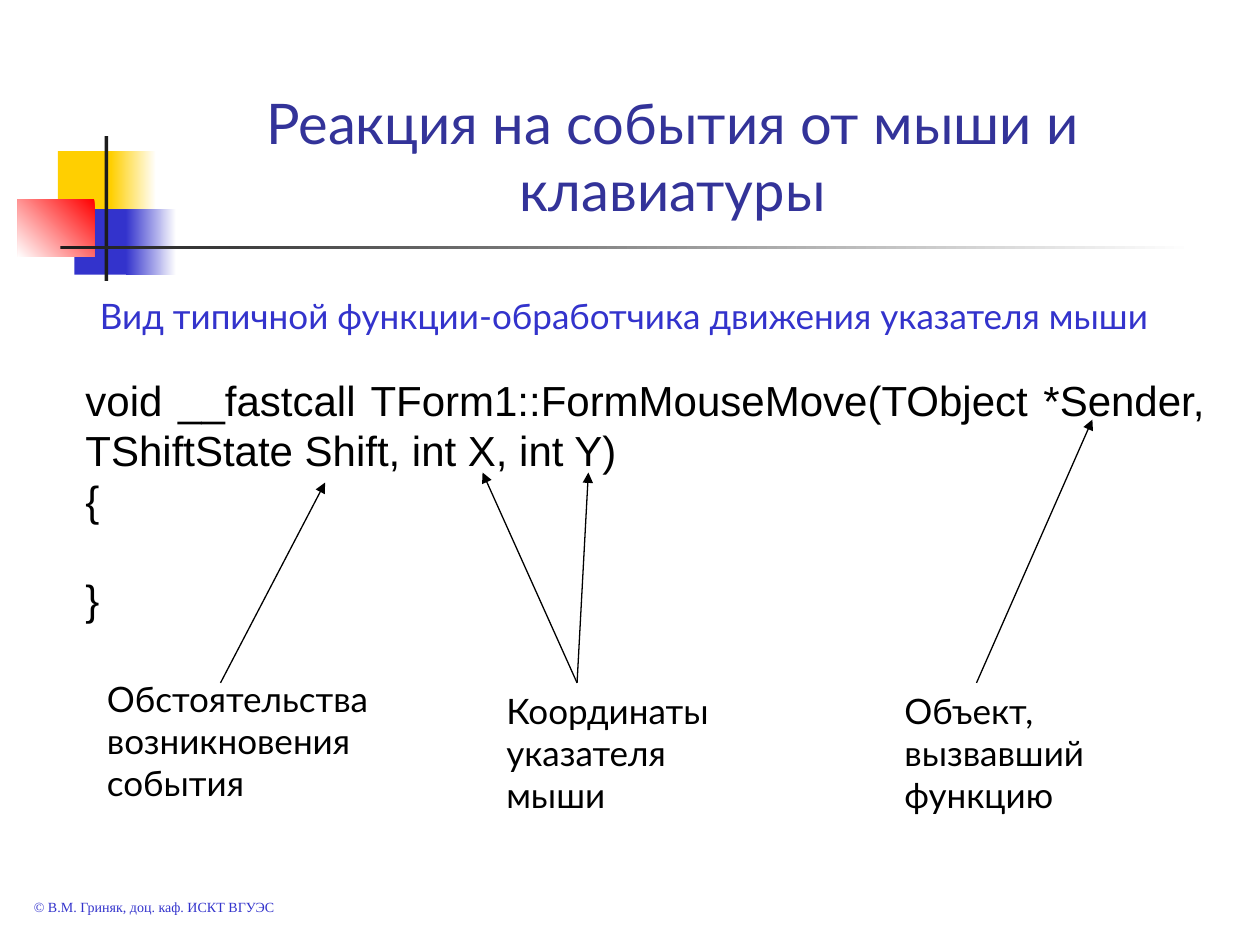
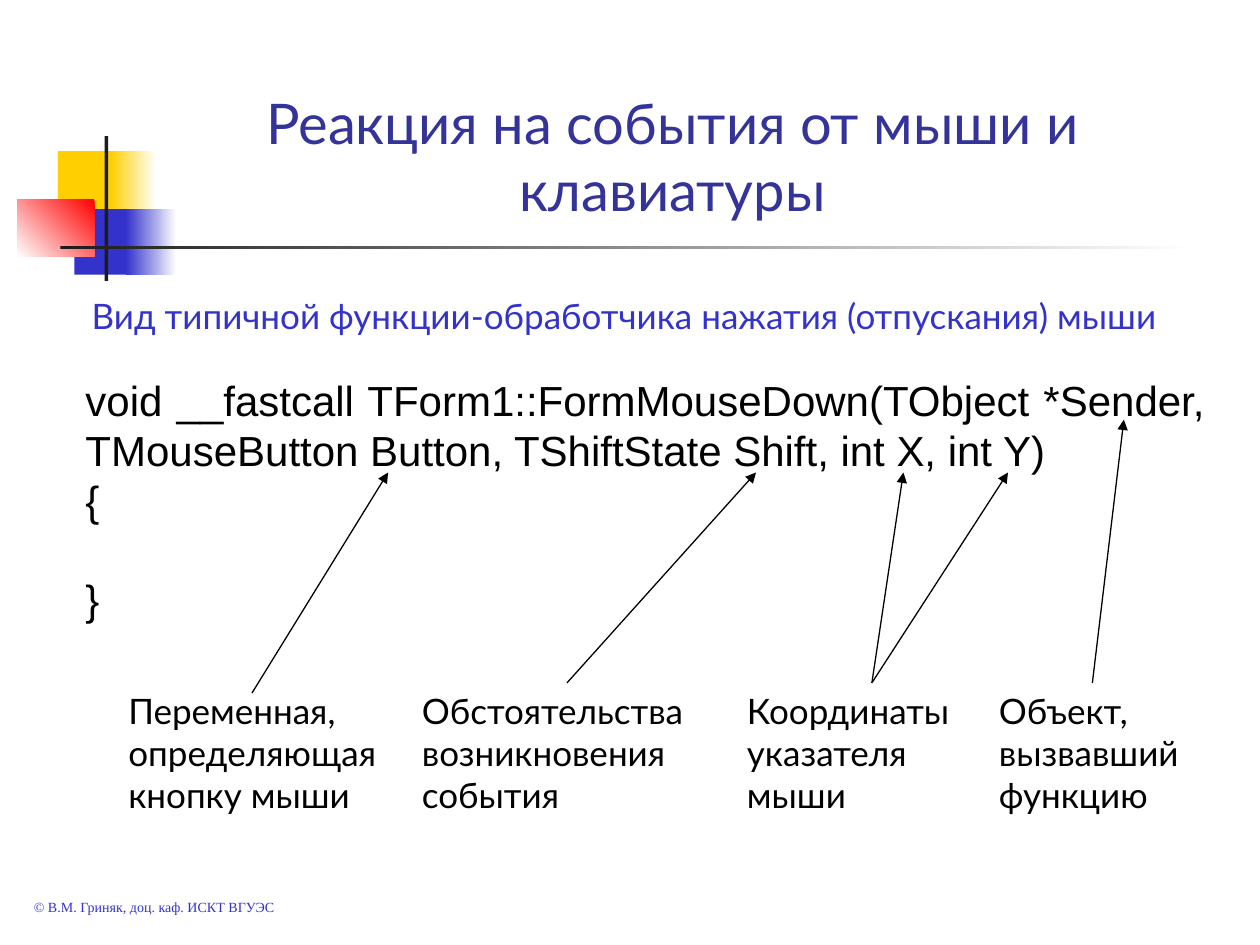
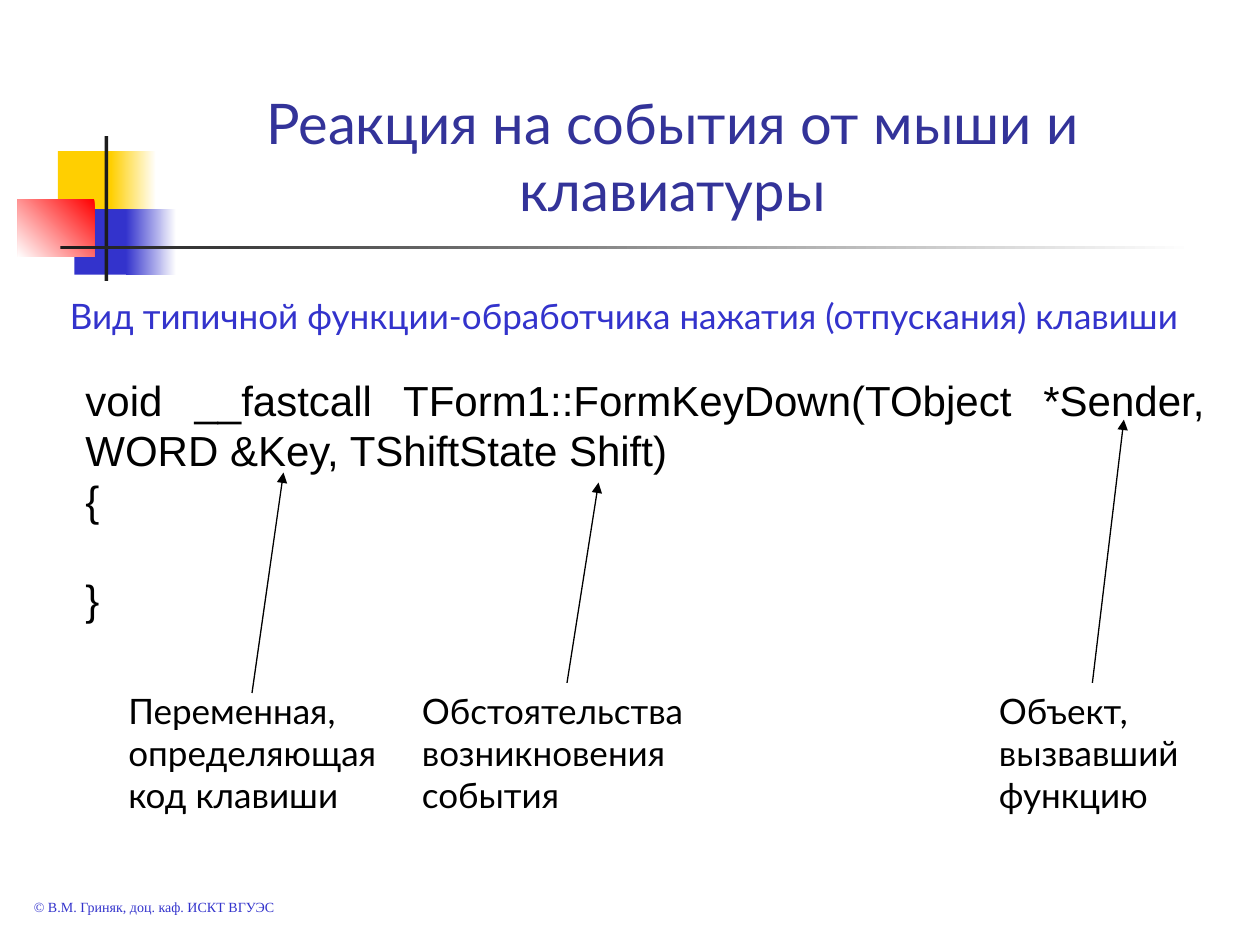
from dataclasses import dataclass

from lxml.etree import SubElement
from pptx import Presentation
from pptx.dml.color import RGBColor
from pptx.enum.shapes import MSO_CONNECTOR, MSO_SHAPE
from pptx.enum.text import MSO_ANCHOR, MSO_AUTO_SIZE, PP_ALIGN
from pptx.oxml.ns import qn
from pptx.slide import Slide
from pptx.text.text import TextFrame
from pptx.util import Inches, Pt

YELLOW = "FFCF01"
BLUE = "3333CC"
RED = "FF0000"
DARK = "1C1C1C"
WHITE = "FFFFFF"
BLACK = "000000"
TITLE_COLOR = "333399"

BODY_FONT = "Lato"
CODE_FONT = "Arial"
FOOTER_FONT = "Times New Roman"
CODE_SIZE = 24
CODE_LINE = 27.6

TITLE = "Реакция на события от мыши и клавиатуры"
FOOTER = "© В.М. Гриняк, доц. каф. ИСКТ ВГУЭС"
SENDER = "Объект, вызвавший функцию"
COORDINATES = "Координаты указателя мыши"
CIRCUMSTANCES = "Обстоятельства возникновения события"

Point = tuple[float, float]
Box = tuple[float, float, float, float]


@dataclass(frozen=True)
class Band:
    box: Box
    color: str
    fade_angle: float | None = None


@dataclass(frozen=True)
class Label:
    text: str
    left: float
    width: float
    arrow_start: Point
    arrow_tips: tuple[Point, ...]
    top: float = 5.42


@dataclass(frozen=True)
class HandlerSlide:
    subtitle: str
    signature: str
    labels: tuple[Label, ...]


BANDS = (
    Band((0.46, 1.2, 0.48, 0.52), YELLOW),
    Band((0.88, 1.2, 0.36, 0.52), YELLOW, 0),
    Band((0.59, 1.66, 0.46, 0.52), BLUE),
    Band((1, 1.66, 0.4, 0.52), BLUE, 0),
    Band((0.14, 1.58, 0.61, 0.46), RED, 225),
    Band((0.83, 1.08, 0.03, 1.15), DARK),
    Band((0.48, 1.95, 9, 0.03), DARK, 0),
)

SENDER_LABEL = Label(SENDER, 7.83, 1.67, (8.67, 5.42), ((8.92, 3.33),))

HANDLERS = (
    HandlerSlide(
        "Вид типичной функции-обработчика движения указателя мыши",
        "void __fastcall TForm1::FormMouseMove(TObject *Sender, "
        "TShiftState Shift, int X, int Y)",
        (
            Label(SENDER, 7.08, 1.67, (7.75, 5.42), ((8.67, 3.33),)),
            Label(COORDINATES, 3.92, 2, (4.58, 5.42), ((3.83, 3.75), (4.67, 3.75))),
            Label(CIRCUMSTANCES, 0.75, 2.42, (1.75, 5.42), ((2.58, 3.83),), top=5.33),
        ),
    ),
    HandlerSlide(
        "Вид типичной функции-обработчика нажатия (отпускания) мыши",
        "void __fastcall TForm1::FormMouseDown(TObject *Sender, "
        "TMouseButton Button, TShiftState Shift, int X, int Y)",
        (
            Label("Переменная, определяющая кнопку мыши", 0.92, 2.42,
                  (2, 5.5), ((3.08, 3.75),)),
            SENDER_LABEL,
            Label(COORDINATES, 5.83, 2, (6.92, 5.42), ((7.17, 3.75), (8, 3.75))),
            Label(CIRCUMSTANCES, 3.25, 2.42, (4.5, 5.42), ((6, 3.75),)),
        ),
    ),
    HandlerSlide(
        "Вид типичной функции-обработчика нажатия (отпускания) клавиши",
        "void __fastcall TForm1::FormKeyDown(TObject *Sender, "
        "WORD &Key, TShiftState Shift)",
        (
            Label("Переменная, определяющая код клавиши", 0.92, 2.42,
                  (2, 5.5), ((2.25, 3.75),)),
            SENDER_LABEL,
            Label(CIRCUMSTANCES, 3.25, 2.42, (4.5, 5.42), ((4.75, 3.83),)),
        ),
    ),
)


def rgb(color: str) -> RGBColor:
    return RGBColor.from_string(color)


def write_text(
    frame: TextFrame,
    *lines: str,
    size: float = 20,
    font: str = BODY_FONT,
    color: str = BLACK,
    align: PP_ALIGN = PP_ALIGN.LEFT,
    anchor: MSO_ANCHOR = MSO_ANCHOR.TOP,
    auto_size: MSO_AUTO_SIZE = MSO_AUTO_SIZE.SHAPE_TO_FIT_TEXT,
) -> None:
    frame.word_wrap = True
    frame.auto_size = auto_size
    frame.vertical_anchor = anchor
    for index, line in enumerate(lines):
        paragraph = frame.add_paragraph() if index else frame.paragraphs[0]
        paragraph.alignment = align
        run = paragraph.add_run()
        run.text = line
        run.font.size = Pt(size)
        run.font.name = font
        run.font.color.rgb = rgb(color)


def add_text_box(slide: Slide, box: Box, *lines: str, **text_format) -> TextFrame:
    frame = slide.shapes.add_textbox(*map(Inches, box)).text_frame
    write_text(frame, *lines, **text_format)
    return frame


def add_band(slide: Slide, band: Band) -> None:
    shape = slide.shapes.add_shape(MSO_SHAPE.RECTANGLE, *map(Inches, band.box))
    shape.shadow.inherit = False
    shape.line.fill.background()
    if band.fade_angle is None:
        shape.fill.solid()
        shape.fill.fore_color.rgb = rgb(band.color)
        return
    shape.fill.gradient()
    shape.fill.gradient_angle = band.fade_angle
    for stop, color in zip(shape.fill.gradient_stops, (band.color, WHITE)):
        stop.color.rgb = rgb(color)


def add_arrow(slide: Slide, start: Point, tip: Point) -> None:
    connector = slide.shapes.add_connector(
        MSO_CONNECTOR.STRAIGHT, *map(Inches, start + tip)
    )
    connector.line.color.rgb = rgb(BLACK)
    connector.line.width = Pt(0.75)
    properties = connector.element.spPr
    SubElement(properties.find(qn("a:ln")), qn("a:tailEnd"), type="triangle")
    SubElement(properties, qn("a:effectLst"))


def add_label(slide: Slide, label: Label) -> None:
    add_text_box(slide, (label.left, label.top, label.width, 1.1), label.text)
    for tip in label.arrow_tips:
        add_arrow(slide, label.arrow_start, tip)


def add_frame(slide: Slide) -> None:
    for band in BANDS:
        add_band(slide, band)
    add_text_box(
        slide, (0.17, 7.08, 2.67, 0.24), FOOTER, size=8, font=FOOTER_FONT, color=BLUE
    )
    title = slide.shapes.title
    title.left, title.top, title.width, title.height = map(
        Inches, (1.08, 0.58, 8.52, 1.24)
    )
    write_text(
        title.text_frame,
        TITLE,
        size=32,
        color=TITLE_COLOR,
        align=PP_ALIGN.CENTER,
        anchor=MSO_ANCHOR.BOTTOM,
        auto_size=MSO_AUTO_SIZE.NONE,
    )


def add_handler_slide(presentation: Presentation, handler: HandlerSlide) -> None:
    slide = presentation.slides.add_slide(presentation.slide_layouts[5])
    add_frame(slide)
    add_text_box(
        slide,
        (0.33, 2.29, 9.25, 0.44),
        handler.subtitle,
        color=BLUE,
        align=PP_ALIGN.CENTER,
    )
    code = add_text_box(
        slide,
        (0.58, 2.92, 9.08, 2.1),
        handler.signature,
        "{",
        "}",
        size=CODE_SIZE,
        font=CODE_FONT,
        align=PP_ALIGN.JUSTIFY,
    )
    code.paragraphs[-1].space_before = Pt(CODE_LINE)
    for label in handler.labels:
        add_label(slide, label)


def main() -> None:
    presentation = Presentation()
    presentation.slide_width = Inches(10)
    presentation.slide_height = Inches(7.5)
    for handler in HANDLERS:
        add_handler_slide(presentation, handler)
    presentation.save("out.pptx")


if __name__ == "__main__":
    main()
